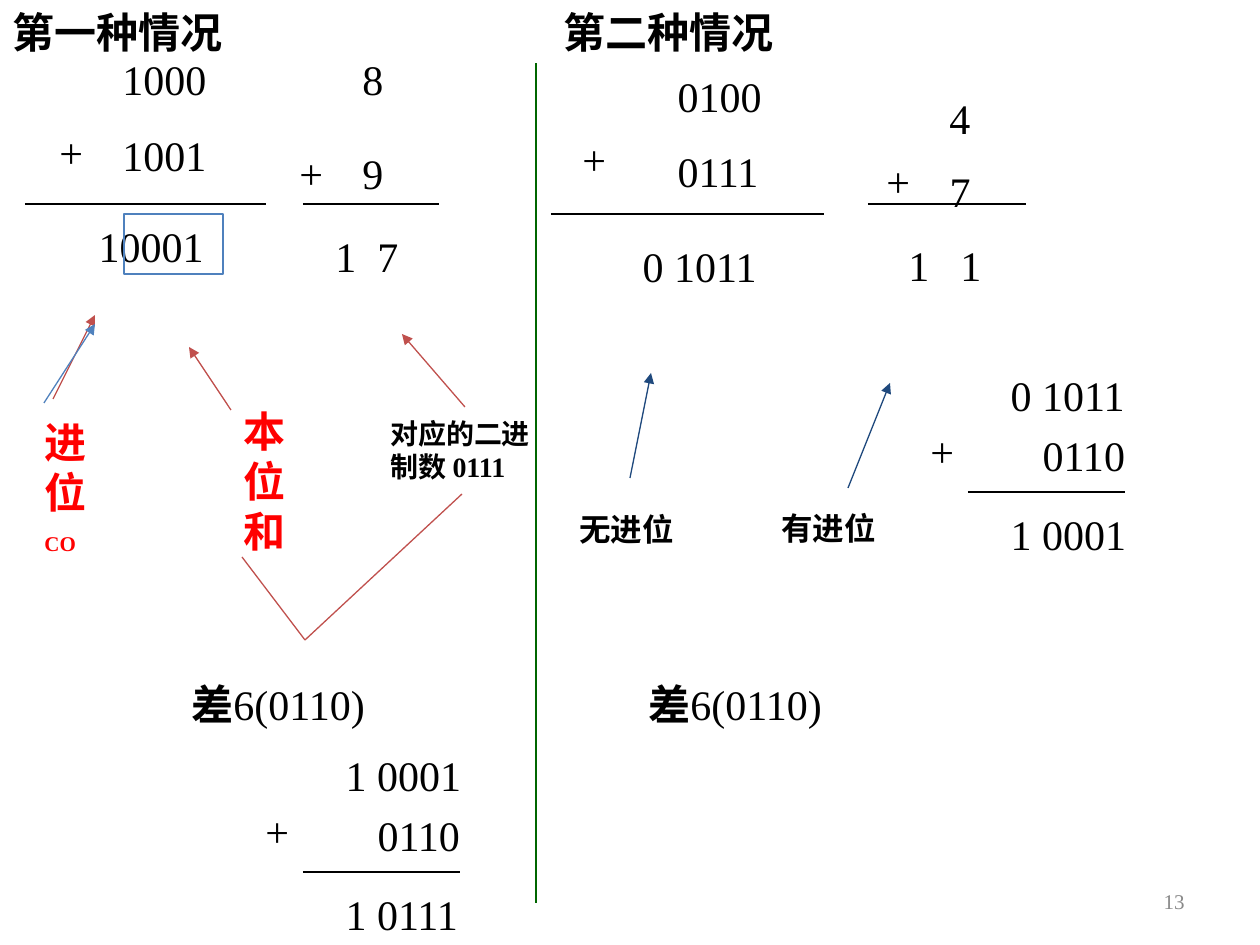
from lxml.etree import SubElement
from pptx import Presentation
from pptx.dml.color import RGBColor
from pptx.enum.shapes import MSO_CONNECTOR, MSO_SHAPE
from pptx.enum.text import MSO_ANCHOR, MSO_AUTO_SIZE, PP_ALIGN
from pptx.oxml.ns import qn
from pptx.util import Pt

EMU_PER_PX = 914400 / 126
FONT = "Times New Roman"
COLORS = {
    "black": "000000", "red": "FF0000", "gray": "898989", "brick": "C0504D",
    "navy": "1F497D", "blue": "4F81BD", "green": "006600",
}

# Text: content, (left, top, width, height), format
HEADINGS = [
    ("第一种情况", (0, 0, 294, 63), {"bold": True}),
    ("第二种情况", (551, 0, 294, 63), {"bold": True}),
]
SUM_TEXTS = [
    ("1000\n1001", (110, 47, 357, 140), {}),
    ("+", (47, 120, 84, 63), {}),
    ("10001", (34, 214, 210, 63), {"indent": 52}),
    ("8", (350, 47, 116, 63), {}),
    ("+", (287, 141, 63, 63), {}),
    ("9", (350, 141, 63, 63), {}),
    ("1\t7", (323, 224, 95, 63), {"tab": 42}),
    ("0100", (633, 64, 273, 63), {"indent": 32}),
    ("+", (570, 127, 73, 63), {}),
    ("0111", (633, 139, 179, 63), {"indent": 32}),
    ("0 1011", (620, 234, 179, 63), {"indent": 10}),
    ("4", (937, 86, 73, 63), {}),
    ("+", (874, 149, 53, 63), {}),
    ("7", (927, 159, 73, 63), {"indent": 10}),
    ("1\t1", (896, 233, 116, 63), {"tab": 52}),
]
NOTES = [
    ("本位和", (231, 399, 84, 164), {"bold": True, "color": "red"}),
    ("进位\nCO", (32, 410, 84, 152),
     {"bold": True, "color": "red", "sizes": (24, 12)}),
    ("对应的二进制数 0111", (378, 410, 189, 81), {"bold": True, "sizes": (16,)}),
    ("无进位", (567, 504, 136, 50), {"bold": True, "sizes": (18,)}),
    ("有进位", (769, 503, 136, 50), {"bold": True, "sizes": (18,)}),
]
DIFFERENCES = [(179, 672, 273, 63), (636, 672, 210, 63)]
PAGE_NUMBER = ("13", (903, 876, 294, 50), {
    "sizes": (12,), "color": "gray", "align": PP_ALIGN.RIGHT,
    "anchor": MSO_ANCHOR.MIDDLE, "fit": False})

# Lines: from x, from y, to x, to y, colour
RULES = [
    (25, 204, 266, 204, "black"),
    (303, 204, 439, 204, "black"),
    (551, 214, 824, 214, "black"),
    (868, 204, 1026, 204, "black"),
    (536, 63, 536, 903, "green"),
    (242, 557, 305, 640, "brick"),
    (305, 640, 462, 494, "brick"),
]
ARROWS = [
    (231, 410, 189, 347, "brick"),
    (53, 399, 95, 315, "brick"),
    (465, 407, 402, 334, "brick"),
    (630, 478, 651, 373, "navy"),
    (848, 488, 890, 383, "navy"),
    (44, 403, 95, 324, "blue"),
]
SUM_BOX = (124, 214, 99, 60)

# Corrections by six: left, top, the three rows
CORRECTIONS = [
    (988, 363, ("0 1011", "0110", "1 0001")),
    (323, 743, ("1 0001", "0110", "1 0111")),
]
ROW_OFFSETS = (0, 60, 139)
ROW_INDENTS = (10, 42, 10)


def px(value):
    return round(value * EMU_PER_PX)


def color(name):
    return RGBColor.from_string(COLORS[name])


def add_span(para, text, size, bold, tint):
    span = para.add_run()
    span.text = text
    span.font.name = FONT
    span.font.size = Pt(size)
    span.font.bold = bold
    span.font.color.rgb = color(tint)


def add_text(page, text, area, sizes=(24,), bold=False, color="black", indent=0,
             tab=None, align=PP_ALIGN.LEFT, anchor=MSO_ANCHOR.TOP, fit=True, tail=""):
    box = page.shapes.add_textbox(*map(px, area))
    frame = box.text_frame
    frame.word_wrap = True
    frame.auto_size = MSO_AUTO_SIZE.SHAPE_TO_FIT_TEXT if fit else MSO_AUTO_SIZE.NONE
    frame.vertical_anchor = anchor
    frame.margin_left += px(indent)
    for index, line in enumerate(text.split("\n")):
        para = frame.add_paragraph() if index else frame.paragraphs[0]
        size = sizes[min(index, len(sizes) - 1)]
        para.alignment = align
        if fit:
            para.space_before = Pt(size * 5 / 8)
        add_span(para, line, size, bold, color)
        if tail:
            add_span(para, tail, size, False, color)
        if tab:
            stops = SubElement(para._p.get_or_add_pPr(), qn("a:tabLst"))
            SubElement(stops, qn("a:tab"), pos=str(px(tab)), algn="l")
    return box


def add_line(page, x1, y1, x2, y2, tint, arrow=False):
    line = page.shapes.add_connector(MSO_CONNECTOR.STRAIGHT, *map(px, (x1, y1, x2, y2)))
    line.line.color.rgb = color(tint)
    line.line.width = Pt(0.75)
    if arrow:
        SubElement(line.line._get_or_add_ln(), qn("a:tailEnd"), type="triangle")
    SubElement(line._element.spPr, qn("a:effectLst"))


def add_correction(page, left, top, rows):
    for row, offset, indent in zip(rows, ROW_OFFSETS, ROW_INDENTS):
        add_text(page, row, (left, top + offset, 179, 63), indent=indent)
    add_text(page, "+", (left - 70, top + 56, 73, 63))
    add_line(page, left - 20, top + 129, left + 137, top + 129, "black")


def main():
    deck = Presentation()
    deck.slide_width, deck.slide_height = px(1260), px(945)
    page = deck.slides.add_slide(deck.slide_layouts[6])

    # Headings, sums, notes and page number
    for text, area, style in [PAGE_NUMBER] + HEADINGS + SUM_TEXTS + NOTES:
        add_text(page, text, area, **style)
    for area in DIFFERENCES:
        add_text(page, "差", area, bold=True, tail="6(0110)")

    # Rules and arrows
    for rule in RULES:
        add_line(page, *rule)
    for arrow in ARROWS:
        add_line(page, *arrow, arrow=True)

    # Frame around the four sum bits
    box = page.shapes.add_shape(MSO_SHAPE.RECTANGLE, *map(px, SUM_BOX))
    box.shadow.inherit = False
    box.fill.background()
    box.line.color.rgb = color("blue")
    box.line.width = Pt(0.75)

    for correction in CORRECTIONS:
        add_correction(page, *correction)

    deck.save("out.pptx")


if __name__ == "__main__":
    main()
